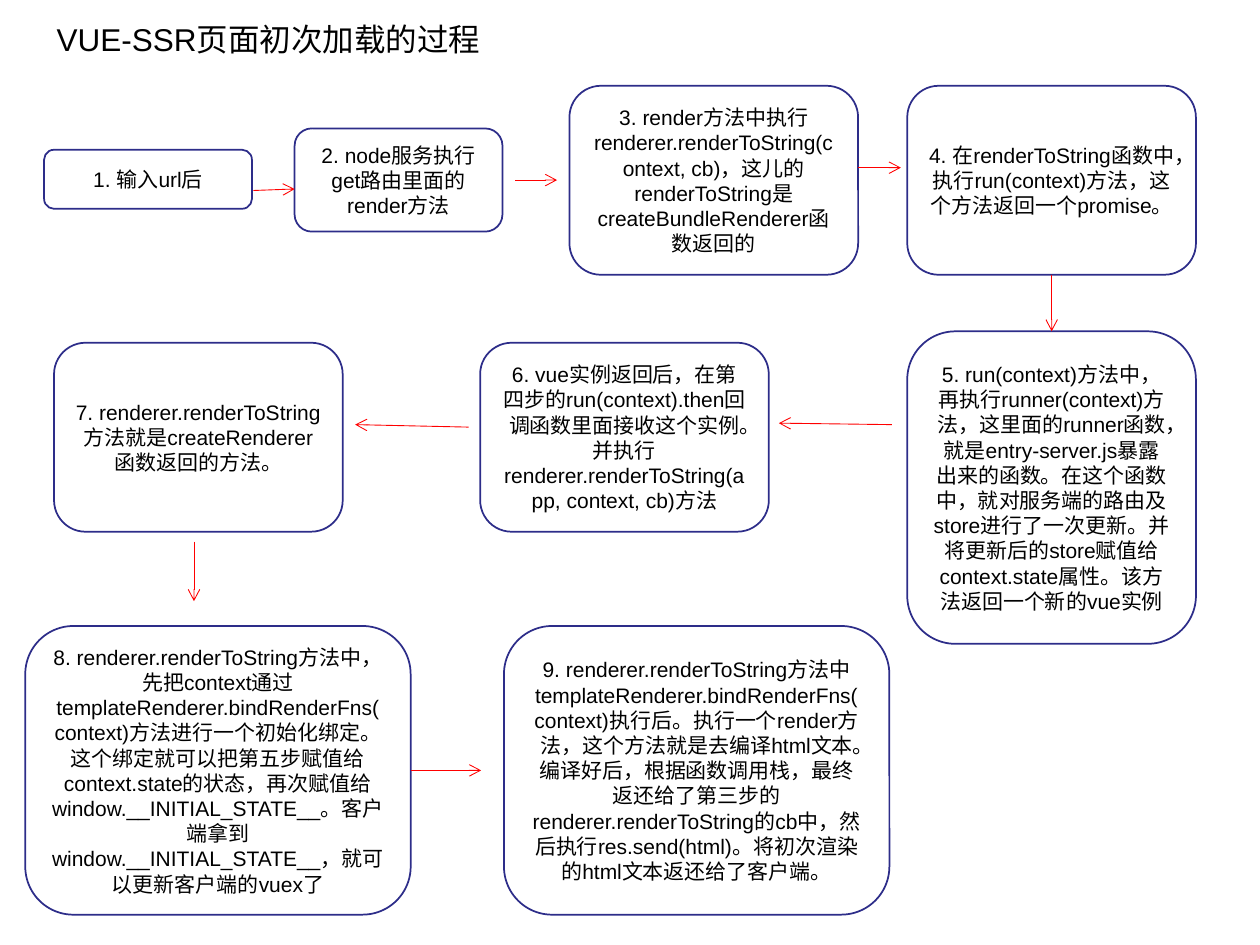
"""Build the flow slide on the first page load with VUE-SSR."""
from lxml import etree
from pptx import Presentation
from pptx.dml.color import RGBColor
from pptx.enum import shapes, text
from pptx.oxml import ns
from pptx.util import Cm, Pt

BLACK = RGBColor(0x00, 0x00, 0x00)
WHITE = RGBColor(0xFF, 0xFF, 0xFF)
NAVY = RGBColor(0x2D, 0x2D, 0x89)
RED = RGBColor(0xFF, 0x00, 0x00)

TOP, BOTTOM, RIGHT = 0, 2, 3
SMALL_W = 4.19
MID = (5.82, 3.81)
LARGE = (7.77, 5.82)
COL_RIGHT = 18.29
ROW_1, ROW_2, ROW_3 = 1.73, 6.91, 12.62

STEPS = [
    (0.89, 3.02, SMALL_W, 1.19, "输入url后"),
    (5.94, 2.59, SMALL_W, 2.08, "node服务执行get路由里面的render方法"),
    (11.48, ROW_1, *MID,
     "render方法中执行renderer.renderToString(context, cb)，"
     "这儿的renderToString是createBundleRenderer函数返回的"),
    (COL_RIGHT, ROW_1, *MID,
     "在renderToString函数中，执行run(context)方法，这个方法返回一个promise。"),
    (COL_RIGHT, 6.68, MID[0], 6.3,
     "run(context)方法中，再执行runner(context)方法，这里面的runner函数，"
     "就是entry-server.js暴露出来的函数。在这个函数中，就对服务端的路由及store"
     "进行了一次更新。并将更新后的store赋值给context.state属性。"
     "该方法返回一个新的vue实例"),
    (9.68, ROW_2, *MID,
     "vue实例返回后，在第四步的run(context).then回调函数里面接收这个实例。"
     "并执行renderer.renderToString(app, context, cb)方法"),
    (1.09, ROW_2, *MID,
     "renderer.renderToString方法就是createRenderer函数返回的方法。"),
    (0.51, ROW_3, *LARGE,
     "renderer.renderToString方法中，先把context通过"
     "templateRenderer.bindRenderFns(context)方法进行一个初始化绑定。"
     "这个绑定就可以把第五步赋值给context.state的状态，"
     "再次赋值给window.__INITIAL_STATE__。"
     "客户端拿到window.__INITIAL_STATE__，就可以更新客户端的vuex了"),
    (10.16, ROW_3, *LARGE,
     "renderer.renderToString方法中templateRenderer.bindRenderFns(context)"
     "执行后。执行一个render方法，这个方法就是去编译html文本。编译好后，"
     "根据函数调用栈，最终返还给了第三步的renderer.renderToString的cb中，"
     "然后执行res.send(html)。将初次渲染的html文本返还给了客户端。"),
]

FREE_ARROWS = [
    (5.11, 3.84, 5.94, 3.81),
    (10.39, 3.63, 11.23, 3.63),
    (17.3, 3.38, 18.16, 3.38),
    (17.98, 8.56, 15.7, 8.53),
    (9.45, 8.61, 7.16, 8.56),
    (3.91, 10.92, 3.91, 12.12),
]


def write(sp, content, size=12, align=text.PP_ALIGN.CENTER,
          anchor=text.MSO_ANCHOR.MIDDLE, color=BLACK):
    """Put one formatted paragraph into a shape."""
    tf = sp.text_frame
    tf.word_wrap = True
    tf.vertical_anchor = anchor
    p = tf.paragraphs[0]
    p.alignment = align
    r = p.add_run()
    r.text = content
    r.font.name = "Arial"
    r.font.size = Pt(size)
    r.font.color.rgb = color


def add_title(s, content):
    """Place and fill the title placeholder."""
    sp = s.shapes.title
    sp.left, sp.top, sp.width, sp.height = Cm(0.89), Cm(0.28), Cm(23.42), Cm(1.02)
    write(sp, content, size=18, align=text.PP_ALIGN.LEFT, anchor=text.MSO_ANCHOR.TOP)
    sp.text_frame.auto_size = text.MSO_AUTO_SIZE.SHAPE_TO_FIT_TEXT


def add_step(s, number, left, top, width, height, content):
    """Add a numbered rounded box."""
    sp = s.shapes.add_shape(shapes.MSO_SHAPE.ROUNDED_RECTANGLE,
                            Cm(left), Cm(top), Cm(width), Cm(height))
    sp.shadow.inherit = False
    sp.fill.solid()
    sp.fill.fore_color.rgb = WHITE
    sp.line.color.rgb = NAVY
    sp.line.width = Pt(1)
    write(sp, f"{number}. {content}")
    return sp


def add_arrow(s, x1, y1, x2, y2):
    """Add a thin red arrow."""
    line = s.shapes.add_connector(shapes.MSO_CONNECTOR.STRAIGHT,
                                  Cm(x1), Cm(y1), Cm(x2), Cm(y2))
    line.line.color.rgb = RED
    line.line.width = Pt(0.5)
    ln = line.line._get_or_add_ln()
    etree.SubElement(ln, ns.qn("a:tailEnd"), type="arrow")
    etree.SubElement(line._element.spPr, ns.qn("a:effectLst"))
    return line


def main():
    """Build and save the slide."""
    prs = Presentation()
    prs.slide_width, prs.slide_height = Cm(25.4), Cm(19.05)
    s = prs.slides.add_slide(prs.slide_layouts[5])
    add_title(s, "VUE-SSR页面初次加载的过程")
    boxes = [add_step(s, n, *step) for n, step in enumerate(STEPS, 1)]
    for ends in FREE_ARROWS:
        add_arrow(s, *ends)
    down = add_arrow(s, 21.2, 5.54, 21.2, 6.68)
    down.begin_connect(boxes[3], BOTTOM)
    down.end_connect(boxes[4], TOP)
    across = add_arrow(s, 8.28, 15.53, 9.7, 15.53)
    across.begin_connect(boxes[7], RIGHT)
    prs.save("out.pptx")


if __name__ == "__main__":
    main()
